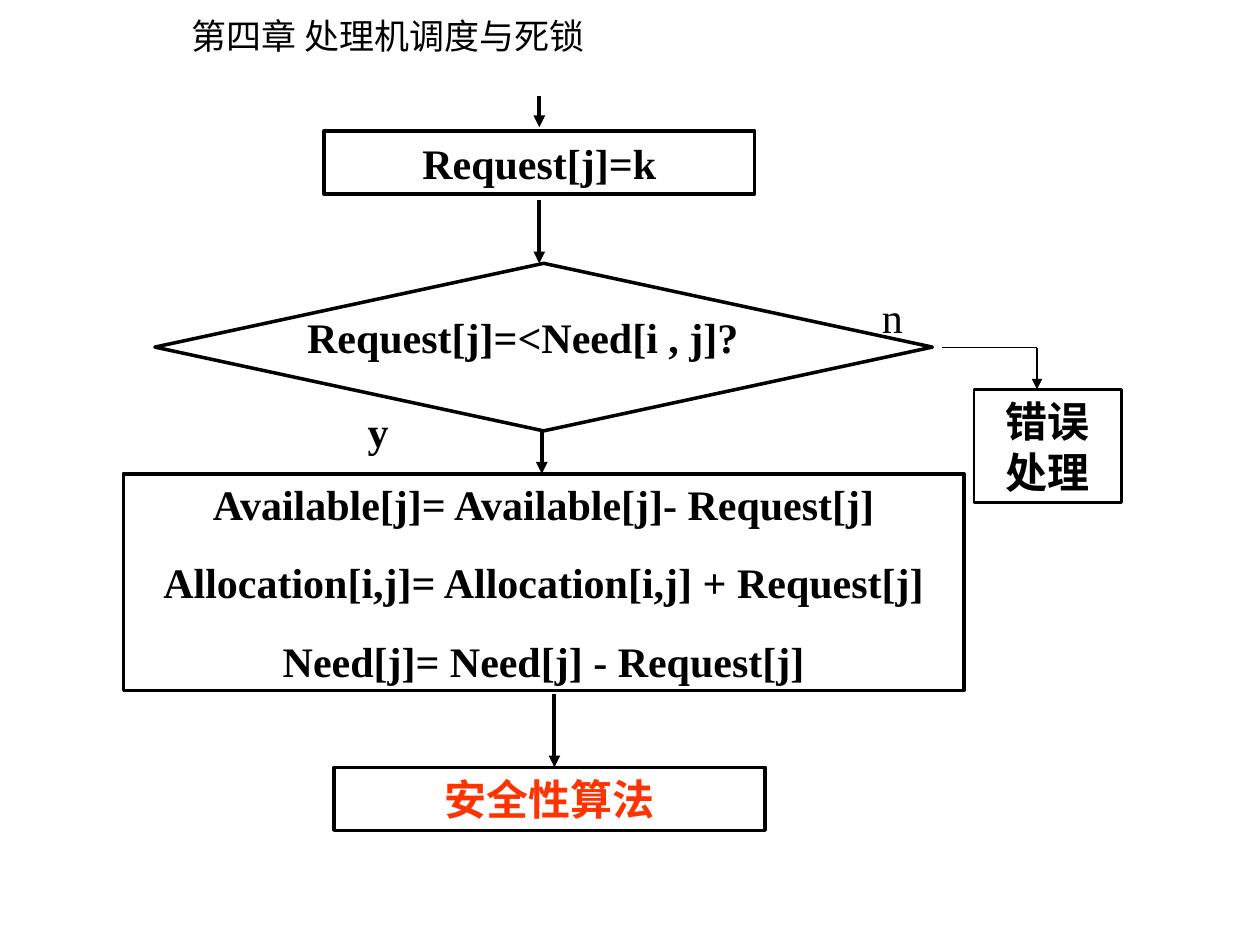
"""Build the flowchart slide for the resource request check of the banker's algorithm."""
import pptx
import pptx.dml.color
import pptx.enum.shapes
import pptx.enum.text
import pptx.oxml.ns
import pptx.util
from pptx.util import Inches
from lxml import etree

BLACK = "000000"
RED = "FF3300"
LATIN_FONT = "Times New Roman"
CHINESE_FONT = "Noto Sans CJK JP"
CENTER = pptx.enum.text.PP_ALIGN.CENTER
LEFT = pptx.enum.text.PP_ALIGN.LEFT
SHAPES = pptx.enum.shapes.MSO_SHAPE


def color(value):
    return pptx.dml.color.RGBColor.from_string(value)


def write_text(shape, lines, size=24, font=LATIN_FONT, fill=BLACK, bold=True, align=CENTER, wrap=True):
    frame = shape.text_frame
    frame.word_wrap = wrap
    frame.auto_size = pptx.enum.text.MSO_AUTO_SIZE.NONE
    frame.vertical_anchor = pptx.enum.text.MSO_ANCHOR.MIDDLE
    for index, line in enumerate(lines):
        para = frame.add_paragraph() if index else frame.paragraphs[0]
        para.alignment = align
        para.space_before = pptx.util.Pt(16 if index else 0)
        span = para.add_run()
        span.text = line
        span.font.size = pptx.util.Pt(size)
        span.font.name = font
        span.font.bold = bold
        span.font.color.rgb = color(fill)
        east_asian = etree.SubElement(span.font._element, pptx.oxml.ns.qn("a:ea"))
        east_asian.set("typeface", CHINESE_FONT)


deck = pptx.Presentation()
deck.slide_width = Inches(10)
deck.slide_height = Inches(7.5)
page = deck.slides.add_slide(deck.slide_layouts[5])

title = page.shapes.title
title.left, title.top, title.width, title.height = Inches(1.42), Inches(0.06), Inches(3.38), Inches(0.44)
write_text(title, ["第四章 处理机调度与死锁"], size=20, font=CHINESE_FONT, bold=False, align=LEFT, wrap=False)

steps = [
    (SHAPES.FLOWCHART_DECISION, 1.23, 2.09, 6.17, 1.33, 2, [], BLACK),
    (SHAPES.RECTANGLE, 2.57, 1.04, 3.42, 0.5, 2, ["Request[j]=k"], BLACK),
    (SHAPES.RECTANGLE, 0.98, 3.76, 6.67, 1.72, 2, [
        "Available[j]= Available[j]- Request[j]",
        "Allocation[i,j]= Allocation[i,j] + Request[j]",
        "Need[j]= Need[j] - Request[j]",
    ], BLACK),
    (SHAPES.RECTANGLE, 2.65, 6.09, 3.42, 0.5, 2, ["安全性算法"], RED),
    (SHAPES.RECTANGLE, 7.73, 3.09, 1.17, 0.9, 1.5, ["错误处理"], BLACK),
]
for kind, left, top, width, height, weight, lines, fill in steps:
    step = page.shapes.add_shape(kind, Inches(left), Inches(top), Inches(width), Inches(height))
    step.shadow.inherit = False
    step.fill.background()
    step.line.color.rgb = color(BLACK)
    step.line.width = pptx.util.Pt(weight)
    write_text(step, lines, fill=fill)

labels = [
    ("Request[j]=<Need[i , j]?", 2.15, 2.42, 4, True, CENTER),
    ("n", 6.9, 2.26, 0.42, False, LEFT),
    ("y", 2.82, 3.17, 0.42, True, LEFT),
]
for words, left, top, width, bold, align in labels:
    label = page.shapes.add_textbox(Inches(left), Inches(top), Inches(width), Inches(0.5))
    write_text(label, [words], bold=bold, align=align)

arrows = [
    (4.28, 0.76, 4.28, 1.01, 2.25, True),
    (4.28, 1.59, 4.28, 2.09, 2.25, True),
    (4.3, 3.42, 4.3, 3.76, 2.25, True),
    (4.4, 5.51, 4.4, 6.09, 2.25, True),
    (7.48, 2.76, 8.23, 2.76, 0.75, False),
    (8.23, 2.76, 8.23, 3.09, 0.75, True),
]
for start_x, start_y, end_x, end_y, weight, has_head in arrows:
    arrow = page.shapes.add_connector(
        pptx.enum.shapes.MSO_CONNECTOR.STRAIGHT,
        Inches(start_x), Inches(start_y), Inches(end_x), Inches(end_y),
    )
    arrow.line.color.rgb = color(BLACK)
    arrow.line.width = pptx.util.Pt(weight)
    properties = arrow._element.spPr
    if has_head:
        outline = properties.find(pptx.oxml.ns.qn("a:ln"))
        etree.SubElement(outline, pptx.oxml.ns.qn("a:tailEnd")).set("type", "triangle")
    etree.SubElement(properties, pptx.oxml.ns.qn("a:effectLst"))

deck.save("out.pptx")
